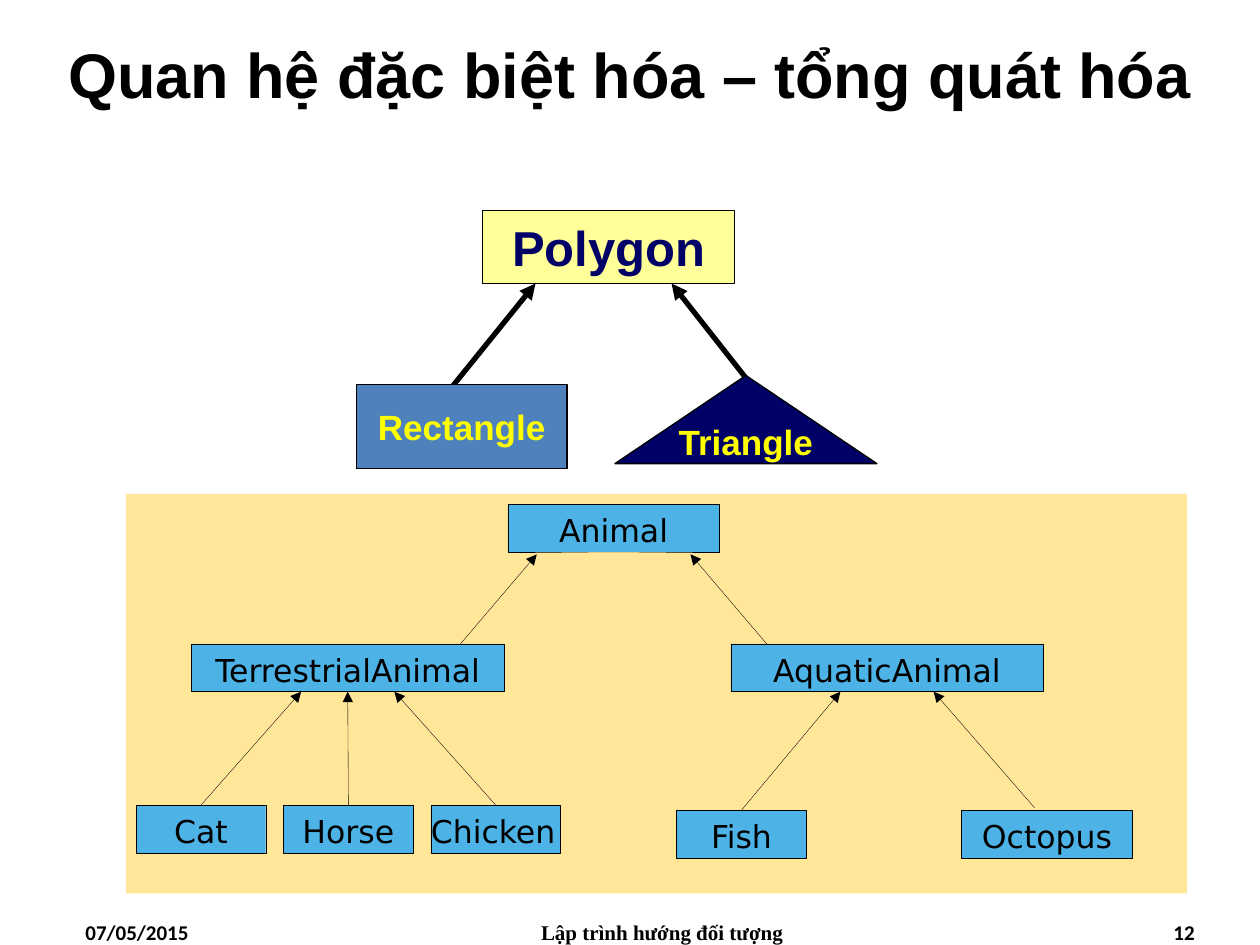
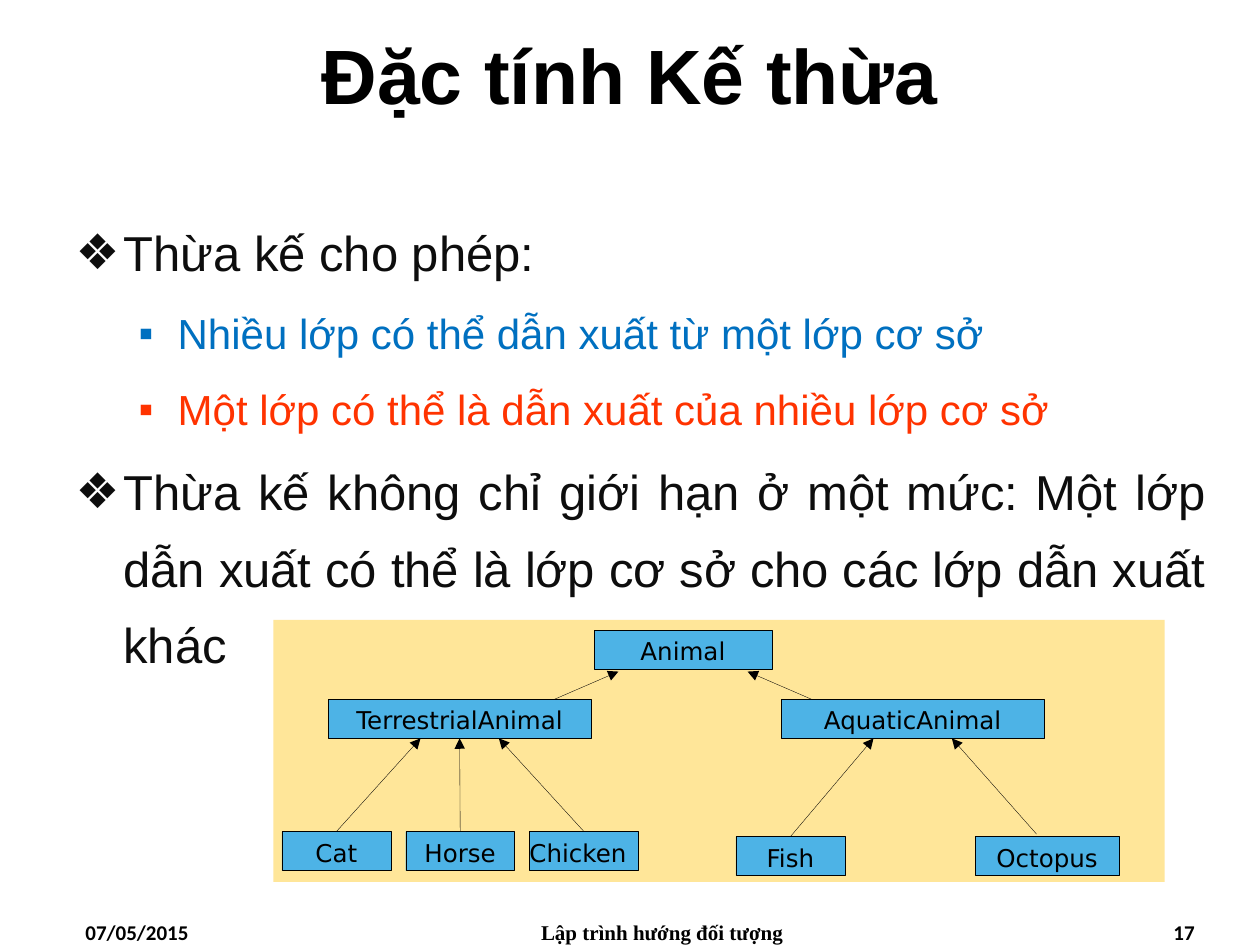
from pptx import Presentation
from pptx.dml.color import RGBColor
from pptx.enum.shapes import MSO_CONNECTOR, MSO_SHAPE
from pptx.enum.text import MSO_ANCHOR, MSO_AUTO_SIZE, PP_ALIGN
from pptx.oxml.ns import qn
from pptx.util import Inches, Pt
from lxml.etree import SubElement

COLORS = {
    "black": "000000", "navy": "000066", "cream": "FFFF99", "steel": "4F81BD",
    "yellow": "FFFF00", "sand": "FFE699", "sky": "4DB3E6", "ink": "0D0D0D",
    "blue": "0070C0", "red": "FF3300",
}
# Bullet, left margin and hanging indent, text size of each list level
LEVELS = [("❖", 0.38, 0.38, 28), ("▪", 0.81, 0.31, 24)]

# Class tree: left edge from the panel, width, row; lengths at full scale
NODES = {
    "Animal": (3.03, 1.68, 0),
    "TerrestrialAnimal": (0.52, 2.48, 1),
    "AquaticAnimal": (4.8, 2.48, 1),
    "Cat": (0.08, 1.03, 2),
    "Horse": (1.25, 1.03, 2),
    "Chicken": (2.42, 1.03, 2),
    "Fish": (4.37, 1.03, 3),
    "Octopus": (6.63, 1.36, 3),
}
PANEL = 8.42
REACH = 0.37  # side arrows end this far from the parent's centre


def color(name):
    return RGBColor.from_string(COLORS[name])


def place(shape, left, top, width, height):
    shape.left, shape.top = Inches(left), Inches(top)
    shape.width, shape.height = Inches(width), Inches(height)


def write(para, text, size, ink="black", font="Arial", bold=False):
    run = para.add_run()
    run.text = text
    run.font.size = Pt(size)
    run.font.name = font
    run.font.bold = bold
    run.font.color.rgb = color(ink)


def add_title(slide, text, size):
    title = slide.shapes.title
    place(title, 0, 0, 10, 1.17)
    title.text_frame.vertical_anchor = MSO_ANCHOR.MIDDLE
    para = title.text_frame.paragraphs[0]
    para.alignment = PP_ALIGN.CENTER
    write(para, text, size, bold=True)


def add_footer(slide, number):
    for left, width, align, font, text in [
        (0.58, 2.33, PP_ALIGN.LEFT, "Calibri", "07/05/2015"),
        (3.67, 3.17, PP_ALIGN.CENTER, "Times New Roman", "Lập trình hướng đối tượng"),
        (7.25, 2.33, PP_ALIGN.RIGHT, "Calibri", str(number)),
    ]:
        box = slide.shapes.add_textbox(
            Inches(left), Inches(7.25), Inches(width), Inches(0.25))
        box.text_frame.word_wrap = True
        para = box.text_frame.paragraphs[0]
        para.alignment = align
        write(para, text, 12, font=font, bold=True)


def add_list(slide, items):
    body = slide.placeholders[1]
    place(body, 0.5, 1.58, 9.17, 5.39)
    frame = body.text_frame
    frame.auto_size = MSO_AUTO_SIZE.NONE
    for i, (level, ink, text) in enumerate(items):
        mark, margin, hang, size = LEVELS[level]
        para = frame.add_paragraph() if i else frame.paragraphs[0]
        para.level = level
        para.alignment = PP_ALIGN.JUSTIFY
        para.line_spacing = 1.3
        para.space_before = para.space_after = Pt(3)
        props = para._p.get_or_add_pPr()
        props.set("marL", str(Inches(margin)))
        props.set("indent", str(-Inches(hang)))
        SubElement(props, qn("a:buChar")).set("char", mark)
        write(para, text, size, ink)


def add_block(slide, kind, left, top, width, height, fill, line=None):
    block = slide.shapes.add_shape(
        kind, Inches(left), Inches(top), Inches(width), Inches(height))
    block.shadow.inherit = False
    block.fill.solid()
    block.fill.fore_color.rgb = color(fill)
    if line:
        block.line.color.rgb = color("black")
        block.line.width = Pt(line)
    else:
        block.line.fill.background()
    return block


def add_figure(slide, kind, spot, fill, text, size, ink):
    frame = add_block(slide, kind, *spot, fill, 0.75).text_frame
    frame.word_wrap = False
    frame.vertical_anchor = MSO_ANCHOR.MIDDLE
    para = frame.paragraphs[0]
    para.alignment = PP_ALIGN.CENTER
    write(para, text, size, ink, bold=True)


def add_node(slide, spot, text, size):
    node = add_block(slide, MSO_SHAPE.RECTANGLE, *spot, "sky", 0.2)
    frame = node.text_frame
    frame.word_wrap = True
    frame.vertical_anchor = MSO_ANCHOR.TOP
    frame.margin_left = frame.margin_right = frame.margin_bottom = 0
    frame.margin_top = Inches(0.3 * spot[3])
    para = frame.paragraphs[0]
    para.alignment = PP_ALIGN.LEFT if text == "Chicken" else PP_ALIGN.CENTER
    para.line_spacing = 0.8
    write(para, text, size, font="DejaVu Sans")
    return node


def add_arrow(slide, start, end, width):
    arrow = slide.shapes.add_connector(
        MSO_CONNECTOR.STRAIGHT, *(Inches(v) for v in (*start, *end)))
    arrow.line.color.rgb = color("black")
    arrow.line.width = Pt(width)
    SubElement(arrow.line._get_or_add_ln(), qn("a:tailEnd")).set("type", "triangle")
    SubElement(arrow._element.spPr, qn("a:effectLst"))
    return arrow


def add_tree(slide, left, top, scale, height, rows, tall, size):
    """Draw the class tree; rows holds the top of each row, tall the box height."""
    add_block(slide, MSO_SHAPE.RECTANGLE, left, top, PANEL * scale, height, "sand")
    nodes, mids = {}, {}
    for name, (x, width, row) in NODES.items():
        spot = (left + x * scale, rows[row], width * scale, tall)
        nodes[name] = add_node(slide, spot, name, size)
        mids[name] = spot[0] + spot[2] / 2

    for side in (-1, 1):
        add_arrow(slide, (mids["Animal"] + side * 1.215 * scale, rows[1]),
                  (mids["Animal"] + side * 0.61 * scale, rows[0] + tall + 0.02), 0.2)

    for child, parent, side in [
        ("Cat", "TerrestrialAnimal", -1), ("Horse", "TerrestrialAnimal", 0),
        ("Chicken", "TerrestrialAnimal", 1), ("Fish", "AquaticAnimal", -1),
        ("Octopus", "AquaticAnimal", 1),
    ]:
        mid = mids[parent]
        start = (mid + side * 1.17 * scale, rows[2] + 0.02)
        arrow = add_arrow(slide, start, (mid + side * REACH * scale, rows[1] + tall), 0.2)
        if child != "Octopus":
            arrow.begin_connect(nodes[child], 0)
        if side == 0:
            arrow.end_connect(nodes[parent], 2)


def add_shapes(slide):
    add_arrow(slide, (3.58, 3.08), (4.25, 2.25), 3)
    add_arrow(slide, (5.92, 3), (5.33, 2.25), 3)
    for kind, spot, fill, text, size, ink in [
        (MSO_SHAPE.ISOSCELES_TRIANGLE, (4.88, 2.98, 2.08, 0.7),
         "navy", "Triangle", 20, "yellow"),
        (MSO_SHAPE.RECTANGLE, (3.83, 1.67, 2, 0.58), "cream", "Polygon", 28, "navy"),
        (MSO_SHAPE.RECTANGLE, (2.83, 3.05, 1.67, 0.67),
         "steel", "Rectangle", 20, "yellow"),
    ]:
        add_figure(slide, kind, spot, fill, text, size, ink)


def add_slide(deck, layout, title, size, number):
    slide = deck.slides.add_slide(deck.slide_layouts[layout])
    add_title(slide, title, size)
    add_footer(slide, number)
    return slide


def main():
    deck = Presentation()
    deck.slide_width, deck.slide_height = Inches(10), Inches(7.5)

    slide = add_slide(deck, 5, "Quan hệ đặc biệt hóa – tổng quát hóa", 36, 12)
    add_shapes(slide)
    add_tree(slide, 1, 3.92, 1, 3.17, (4, 5.11, 6.39, 6.43), 0.38, 18)

    slide = add_slide(deck, 1, "Đặc tính Kế thừa", 44, 17)
    add_list(slide, [
        (0, "ink", "Thừa kế cho phép:"),
        (1, "blue", "Nhiều lớp có thể dẫn xuất từ một lớp cơ sở"),
        (1, "red", "Một lớp có thể là dẫn xuất của nhiều lớp cơ sở"),
        (0, "ink", "Thừa kế không chỉ giới hạn ở một mức: Một lớp dẫn xuất "
                   "có thể là lớp cơ sở cho các lớp dẫn xuất khác"),
    ])
    add_tree(slide, 2.17, 4.92, 0.84, 2.08, (5, 5.55, 6.6, 6.64), 0.31, 14)

    deck.save("out.pptx")


if __name__ == "__main__":
    main()
